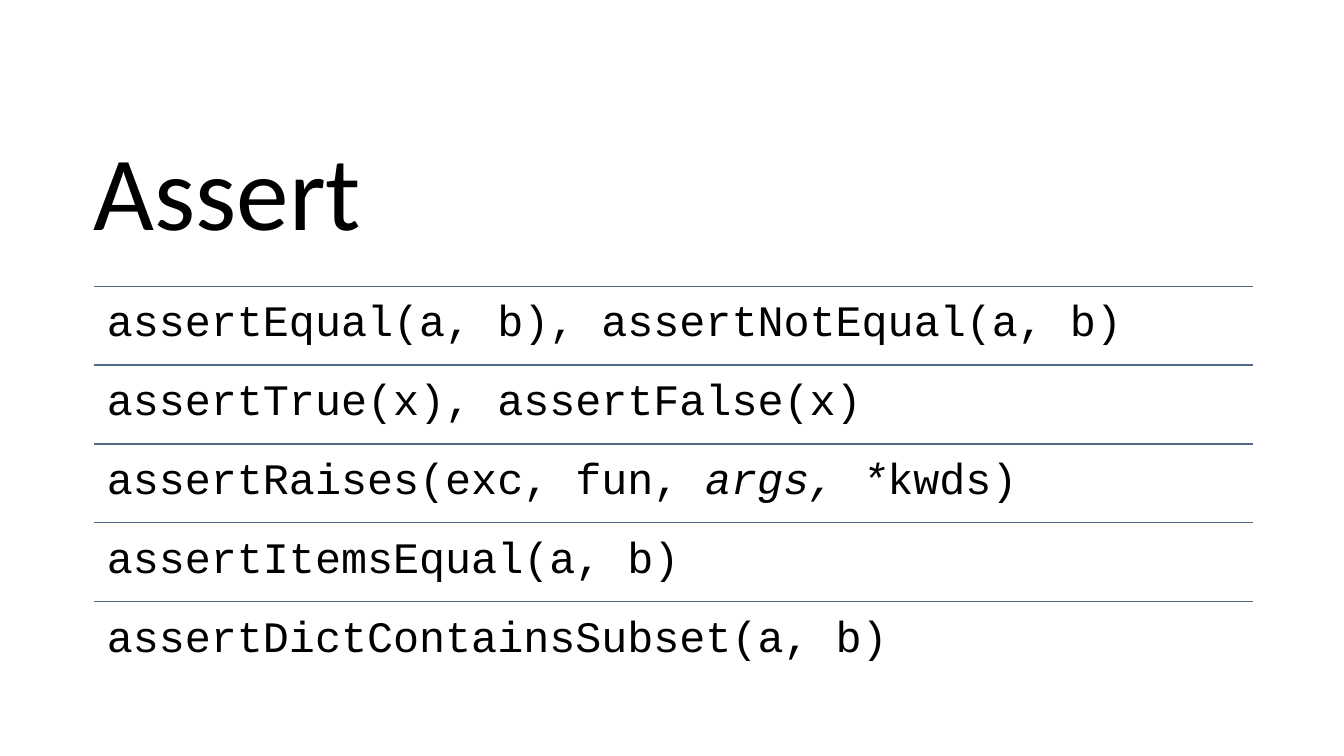
from pptx import Presentation
from pptx.dml.color import RGBColor
from pptx.enum.shapes import MSO_CONNECTOR
from pptx.enum.text import MSO_ANCHOR, MSO_AUTO_SIZE, PP_ALIGN
from pptx.oxml.ns import qn
from pptx.util import Inches, Pt
from lxml.etree import SubElement

SLIDE_W, SLIDE_H = 13.33, 7.5
LEFT, WIDTH = 0.93, 11.5
LIST_TOP, LIST_BOTTOM = 2.84, 6.75

# Each row is a list of (text, italic) runs.
ASSERTS = [
    [("assertEqual(a, b), assertNotEqual(a, b)", False)],
    [("assertTrue(x), assertFalse(x)", False)],
    [("assertRaises(exc, fun,\u00a0", False), ("args, *", True), ("kwds)", False)],
    [("assertItemsEqual(a, b)", False)],
    [("assertDictContainsSubset(a, b)", False)],
]
ROW_H = (LIST_BOTTOM - LIST_TOP) / len(ASSERTS)


def color(hex_code):
    """Turn a hex string into a colour."""
    return RGBColor.from_string(hex_code)


class Deck:
    """Style of the deck and its current slide."""
    text, rule = "000000", "54688C"
    title_font, code_font = "Calibri", "Courier New"

    def __init__(self):
        """Open a widescreen deck with one title-only slide."""
        self.prs = Presentation()
        self.prs.slide_width, self.prs.slide_height = Inches(SLIDE_W), Inches(SLIDE_H)
        self.slide = self.prs.slides.add_slide(self.prs.slide_layouts[5])

    def frame(self, sp, inset, anchor):
        """Set margins, wrapping and anchor; return the first paragraph."""
        tf = sp.text_frame
        tf.margin_left = tf.margin_right = tf.margin_top = tf.margin_bottom = Inches(inset)
        tf.word_wrap, tf.auto_size = True, MSO_AUTO_SIZE.NONE
        tf.vertical_anchor = anchor
        return tf.paragraphs[0]

    def style(self, p, font, size):
        """Format a whole paragraph."""
        p.alignment, p.line_spacing = PP_ALIGN.LEFT, 0.9
        p.font.name, p.font.size = font, Pt(size)
        p.font.color.rgb = color(self.text)

    def title(self, text, top, height):
        """Fill and place the title placeholder."""
        sp = self.slide.shapes.title
        sp.left, sp.top = Inches(LEFT), Inches(top)
        sp.width, sp.height = Inches(WIDTH), Inches(height)
        p = self.frame(sp, 0, MSO_ANCHOR.MIDDLE)
        p.text = text
        self.style(p, self.title_font, 75.2)

    def line(self, top):
        """Draw a thin rule across the list."""
        y = Inches(top)
        ln = self.slide.shapes.add_connector(
            MSO_CONNECTOR.STRAIGHT, Inches(LEFT), y, Inches(LEFT + WIDTH), y)
        ln.line.color.rgb, ln.line.width = color(self.rule), Pt(1)
        SubElement(ln._element.spPr, qn("a:effectLst"))

    def code(self, runs, top):
        """Add one row of code text."""
        sp = self.slide.shapes.add_textbox(
            Inches(LEFT), Inches(top), Inches(WIDTH), Inches(ROW_H))
        p = self.frame(sp, 0.13, MSO_ANCHOR.TOP)
        for text, italic in runs:
            r = p.add_run()
            r.text = text
            if italic:
                r.font.italic = True
        self.style(p, self.code_font, 31)


deck = Deck()
deck.title("Assert", 1.22, 1.45)
for row, runs in enumerate(ASSERTS):
    top = LIST_TOP + row * ROW_H
    deck.line(top)
    deck.code(runs, top)
deck.prs.save("out.pptx")
